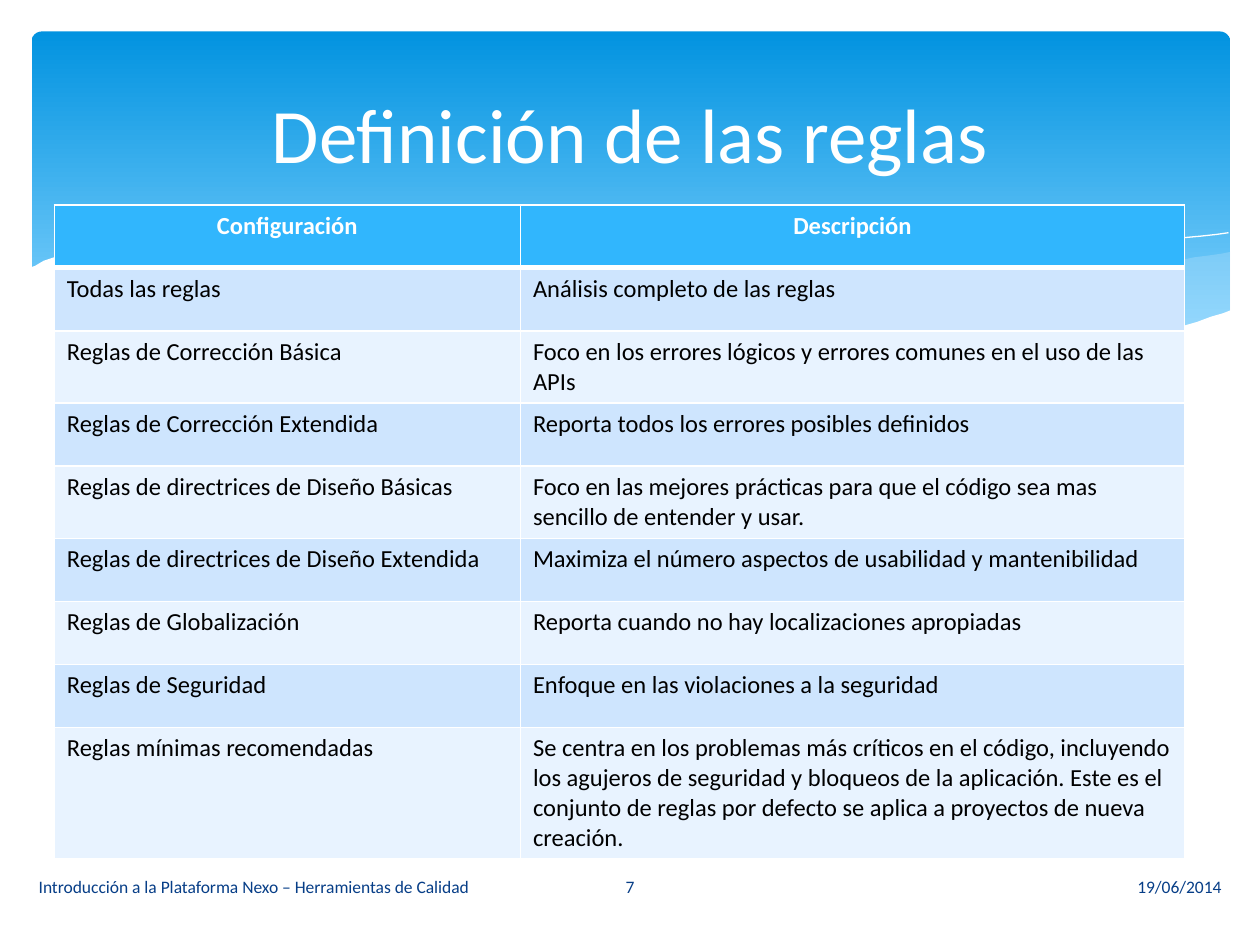
from lxml import etree
from pptx import Presentation
from pptx.dml.color import RGBColor
from pptx.enum.shapes import MSO_SHAPE as SHAPE
from pptx.enum.text import MSO_ANCHOR as ANCHOR, PP_ALIGN as ALIGN
from pptx.oxml import parse_xml
from pptx.oxml.ns import nsdecls, qn
from pptx.util import Pt

FONT = "Calibri"
WHITE = "FFFFFF"

# Wave outlines in points, measured from the banner's top left corner
RIGHT_RIPPLE = [
    [(685, 126), (655, 131), (602, 143), (543, 156), (490, 167), (458, 173)],
    [(458, 173), (490, 177), (527, 181), (568, 182), (603, 180), (634, 176),
     (660, 169), (685, 160)],
]
MIDDLE_RIPPLE = [
    [(625, 179), (585, 173), (540, 165), (490, 155), (435, 142), (392, 132),
     (343, 123), (284, 117), (230, 116), (188, 120)],
    [(188, 120), (228, 125), (273, 134), (336, 149), (402, 163), (461, 174),
     (512, 180), (555, 182), (593, 181), (625, 179)],
]
LONG_CREST = [(204, 122), (236, 118), (281, 117), (334, 119), (382, 124),
              (440, 132), (505, 145), (580, 163), (635, 178)]
RIGHT_CREST = [(423, 167), (482, 151), (541, 137.5), (605, 125), (647, 119),
               (684, 115)]
WHITE_WAVE = [(-1, 135), (19, 127), (50, 119.5), (87, 115), (121, 114.5),
              (162, 116), (209, 122), (263, 131), (304, 140), (344, 150),
              (399, 162), (449, 171), (505, 178), (553, 181), (594, 180),
              (629, 176), (659, 168.5), (685.5, 159)]
WAVE_FLOOR = [(685.5, 219), (-1, 219)]

RULES = [
    ("Configuración", "Descripción"),
    ("Todas las reglas", "Análisis completo de las reglas"),
    ("Reglas de Corrección Básica",
     "Foco en los errores lógicos y errores comunes en el uso de las APIs"),
    ("Reglas de Corrección Extendida",
     "Reporta todos los errores posibles definidos"),
    ("Reglas de directrices de Diseño Básicas",
     "Foco en las mejores prácticas para que el código sea mas sencillo de "
     "entender y usar."),
    ("Reglas de directrices de Diseño Extendida",
     "Maximiza el número aspectos de usabilidad y mantenibilidad"),
    ("Reglas de Globalización",
     "Reporta cuando no hay localizaciones apropiadas"),
    ("Reglas de Seguridad", "Enfoque en las violaciones a la seguridad"),
    ("Reglas mínimas recomendadas",
     "Se centra en los problemas más críticos en el código, incluyendo los "
     "agujeros de seguridad y bloqueos de la aplicación. Este es el conjunto "
     "de reglas por defecto se aplica a proyectos de nueva creación."),
]


def rgb(color):
    return RGBColor.from_string(color)


def style(paragraph, size, color, align=ALIGN.LEFT, bold=False):
    paragraph.alignment = align
    font = paragraph.font
    font.name, font.size, font.bold = FONT, Pt(size), bold
    font.color.rgb = rgb(color)


def smooth(points, steps=4):
    """Return a Catmull-Rom curve through the points."""
    padded = [points[0], *points, points[-1]]
    curve = [points[0]]
    for a, b, c, d in zip(padded, padded[1:], padded[2:], padded[3:]):
        for t in (step / steps for step in range(1, steps + 1)):
            curve.append(tuple(
                (2 * q + (r - p) * t + (2 * p - 5 * q + 4 * r - s) * t ** 2
                 + (3 * q - p - 3 * r + s) * t ** 3) / 2
                for p, q, r, s in zip(a, b, c, d)))
    return curve


def outline(slide, left, top, points, closed=True):
    builder = slide.shapes.build_freeform(*points[0], scale=float(Pt(1)))
    builder.add_line_segments(points[1:], close=closed)
    shape = builder.convert_to_shape(Pt(left), Pt(top))
    shape.shadow.inherit = False
    return shape


def area(slide, left, top, points, color, opacity=100):
    shape = outline(slide, left, top, points)
    shape.fill.solid()
    shape.fill.fore_color.rgb = rgb(color)
    shape.line.fill.background()
    if opacity < 100:
        tint = shape.fill._xPr.find(".//" + qn("a:srgbClr"))
        etree.SubElement(tint, qn("a:alpha")).set("val", str(opacity * 1000))


def crest(slide, left, top, points):
    shape = outline(slide, left, top, smooth(points), closed=False)
    shape.fill.background()
    shape.line.color.rgb = rgb(WHITE)
    shape.line.width = Pt(0)


def add_banner(slide, left, top, width, height):
    panel = slide.shapes.add_shape(SHAPE.ROUNDED_RECTANGLE, Pt(left), Pt(top),
                                   Pt(width), Pt(height))
    panel.adjustments[0] = 0.03
    panel.shadow.inherit = False
    panel.line.fill.background()
    panel.fill.gradient()
    panel.fill.gradient_angle = 270
    stops = zip(panel.fill.gradient_stops, ("0293E0", "83D3FE"), (0, 0.9))
    for stop, color, position in stops:
        stop.color.rgb = rgb(color)
        stop.position = position

    for edges, opacity in ((RIGHT_RIPPLE, 29), (MIDDLE_RIPPLE, 40)):
        ripple = [point for edge in edges for point in smooth(edge)]
        area(slide, left, top, ripple, "C6E7FC", opacity)
    for points in (LONG_CREST, RIGHT_CREST):
        crest(slide, left, top, points)
    area(slide, left, top, smooth(WHITE_WAVE) + WAVE_FLOOR, WHITE)


def place_title(slide, left, top, width, height):
    title = slide.shapes.title
    title.left, title.top = Pt(left), Pt(top)
    title.width, title.height = Pt(width), Pt(height)
    title.text_frame.text = "Definición de las reglas"
    title.text_frame.vertical_anchor = ANCHOR.MIDDLE
    style(title.text_frame.paragraphs[0], 44, WHITE, ALIGN.CENTER)
    title.element.getparent().append(title.element)  # in front of the banner


def set_borders(cell, **widths):
    properties = cell._tc.get_or_add_tcPr()
    for index, side in enumerate("LRTB"):
        properties.insert(index, parse_xml(
            f'<a:ln{side} {nsdecls("a")} w="{Pt(widths.get(side, 1))}">'
            f'<a:solidFill><a:srgbClr val="{WHITE}"/></a:solidFill>'
            f'</a:ln{side}>'))


def add_rules_table(slide, left, top, column_widths, row_height):
    table = slide.shapes.add_table(
        len(RULES), len(column_widths), Pt(left), Pt(top),
        Pt(sum(column_widths)), Pt(row_height * len(RULES))).table
    for column, width in zip(table.columns, column_widths):
        column.width = Pt(width)
    for index, rule in enumerate(RULES):
        header = index == 0
        band = "31B6FD" if header else ("E8F3FF", "CEE5FE")[index % 2]
        for cell, text in zip(table.rows[index].cells, rule):
            cell.text = text
            cell.fill.solid()
            cell.fill.fore_color.rgb = rgb(band)
            set_borders(cell, T=3 if index == 1 else 1, B=3 if header else 1)
            style(cell.text_frame.paragraphs[0], 14,
                  WHITE if header else "000000",
                  ALIGN.CENTER if header else ALIGN.LEFT, header)


def add_footer(slide, left, top, width, height):
    side, middle = 298, 92
    entries = [
        (0, side, "Introducción a la Plataforma Nexo – Herramientas de Calidad",
         ALIGN.LEFT),
        ((width - middle) / 2, middle, "7", ALIGN.CENTER),
        (width - side, side, "19/06/2014", ALIGN.RIGHT),
    ]
    for offset, entry_width, text, align in entries:
        frame = slide.shapes.add_textbox(Pt(left + offset), Pt(top),
                                         Pt(entry_width), Pt(height)).text_frame
        frame.word_wrap = True
        frame.vertical_anchor = ANCHOR.MIDDLE
        frame.text = text
        style(frame.paragraphs[0], 10, "073E87", align)


def main():
    deck = Presentation()
    deck.slide_width, deck.slide_height = Pt(720), Pt(540)
    slide = deck.slides.add_slide(deck.slide_layouts[5])
    add_banner(slide, 18, 18, 685, 194)
    add_rules_table(slide, 31, 117, (266.4, 379.6), 36)
    place_title(slide, 36, 27, 648, 98)
    add_footer(slide, 15, 492, 690, 29)
    deck.save("out.pptx")


if __name__ == "__main__":
    main()
